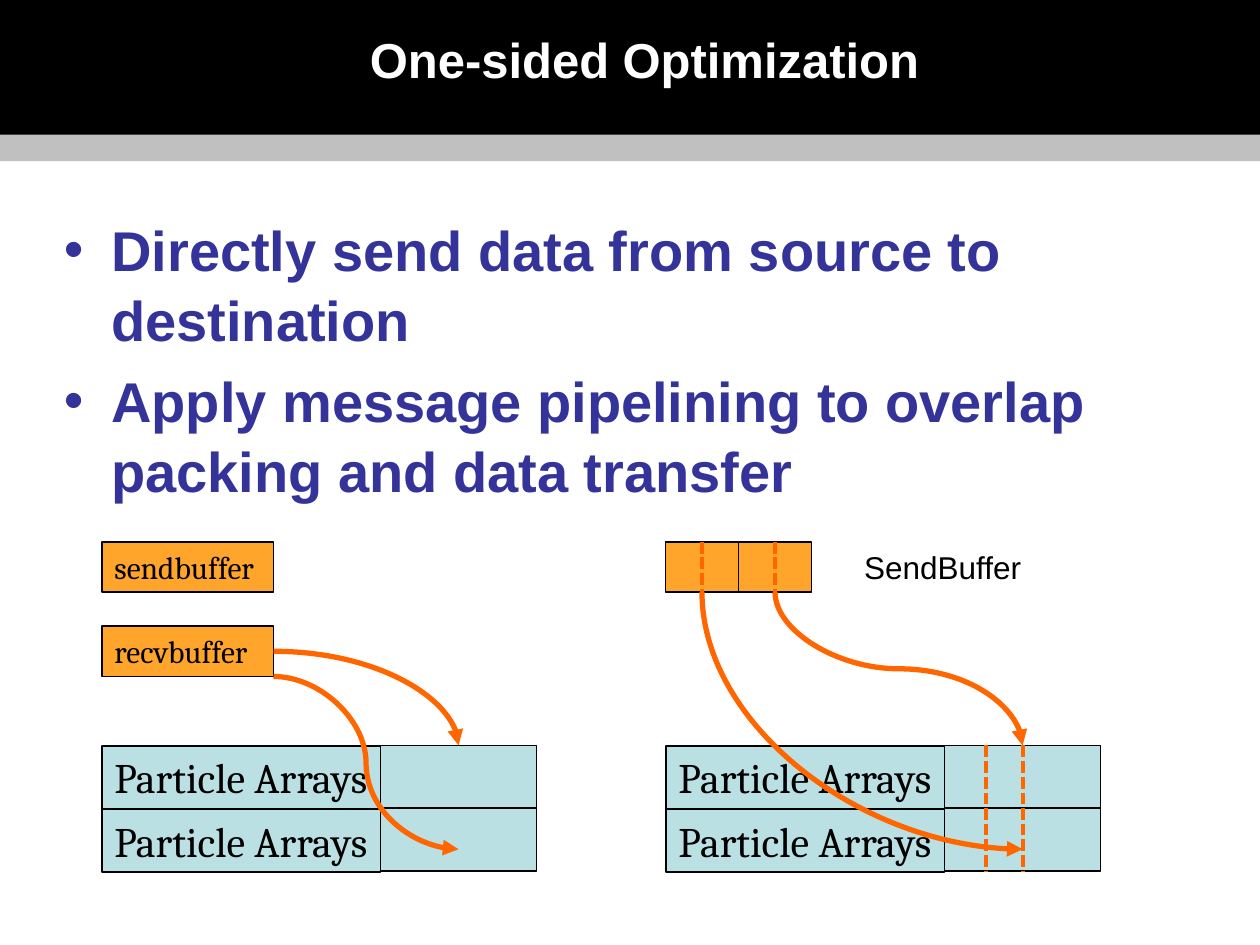
"""Build the One-sided Optimization slide with its buffer and particle array diagrams."""
from lxml import etree
from pptx import Presentation
from pptx.dml.color import RGBColor
from pptx.enum.dml import MSO_LINE
from pptx.enum.shapes import MSO_CONNECTOR, MSO_SHAPE
from pptx.enum.text import MSO_ANCHOR, MSO_AUTO_SIZE, PP_ALIGN
from pptx.oxml.ns import qn
from pptx.util import Pt

RECTANGLE = MSO_SHAPE.RECTANGLE
STRAIGHT, CURVE = MSO_CONNECTOR.STRAIGHT, MSO_CONNECTOR.CURVE
DASH = MSO_LINE.SQUARE_DOT
TOP, MIDDLE = MSO_ANCHOR.TOP, MSO_ANCHOR.MIDDLE
LEFT, CENTER = PP_ALIGN.LEFT, PP_ALIGN.CENTER
FIT_SHAPE, NO_FIT = MSO_AUTO_SIZE.SHAPE_TO_FIT_TEXT, MSO_AUTO_SIZE.NONE

BLACK = RGBColor(0x00, 0x00, 0x00)
WHITE = RGBColor(0xFF, 0xFF, 0xFF)
SILVER = RGBColor(0xC0, 0xC0, 0xC0)
INDIGO = RGBColor(0x33, 0x33, 0x99)
AMBER = RGBColor(0xFF, 0xA5, 0x2C)
PALE_TEAL = RGBColor(0xBB, 0xE0, 0xE3)
ORANGE = RGBColor(0xFF, 0x66, 0x00)

TITLE_FONT = {"name": "Arial", "size": Pt(28), "bold": True}
BULLET_FONT = {"name": "Arial", "size": Pt(32), "bold": True}
BUFFER_FONT = {"name": "Cambria", "size": Pt(18)}
ARRAY_FONT = {"name": "Cambria", "size": Pt(24)}
CAPTION_FONT = {"name": "Arial", "size": Pt(18)}
FITTED = {"auto_size": FIT_SHAPE, "vertical_anchor": TOP}
BULLET_FORMAT = {"space_before": Pt(6.4), "line_spacing": 1.04, "alignment": LEFT}

BULLETS = (
    "Directly send data from source to destination",
    "Apply message pipelining to overlap packing and data transfer",
)
SEND_TOP, RECV_TOP = 309.6, 357.8
BUFFER_WIDTH, BUFFER_HEIGHT, CHUNK_WIDTH = 98, 28.8, 41.8
ARRAY_WIDTH, CELL_WIDTH, ROW_HEIGHT = 159.1, 89.3, 36
ARRAY_TOP, CELL_TOP = 426.2, 426
BEFORE_LEFT, AFTER_LEFT = 58.3, 380.6


def apply_format(target, values):
    """Set each named attribute on the target."""
    for name, value in values.items():
        setattr(target, name, value)


def write_text(paragraph, text, font, color=BLACK):
    """Add one formatted run to a paragraph."""
    run = paragraph.add_run()
    run.text = text
    apply_format(run.font, font)
    run.font.color.rgb = color


def add_box(slide, bounds, fill, text="", font=None, wrap=True, outlined=True):
    """Add a flat rectangle with an optional left-aligned label."""
    box = slide.shapes.add_shape(RECTANGLE, *map(Pt, bounds))
    box.shadow.inherit = False
    box.fill.solid()
    box.fill.fore_color.rgb = fill
    if outlined:
        box.line.color.rgb = BLACK
        box.line.width = Pt(1)
    else:
        box.line.fill.background()
    if text:
        apply_format(box.text_frame, {**FITTED, "word_wrap": wrap})
        paragraph = box.text_frame.paragraphs[0]
        paragraph.alignment = LEFT
        write_text(paragraph, text, font)
    return box


def add_line(slide, kind, start, end, width):
    """Add an orange connector without a shadow."""
    line = slide.shapes.add_connector(kind, *map(Pt, (*start, *end)))
    line.line.color.rgb = ORANGE
    line.line.width = Pt(width)
    etree.SubElement(line.element.spPr, qn("a:effectLst"))
    return line


def add_curve(slide, start, end, preset, downward=False):
    """Add a curved arrow that leaves sideways, or downward when asked."""
    (x1, y1), (x2, y2) = start, end
    if downward:
        middle_x, middle_y = (x1 + x2) / 2, (y1 + y2) / 2
        half_width, half_height = (y2 - y1) / 2, (x2 - x1) / 2
        start = middle_x - half_width, middle_y - half_height
        end = middle_x + half_width, middle_y + half_height
    curve = add_line(slide, CURVE, start, end, 3)
    properties = curve.element.spPr
    properties.find(qn("a:prstGeom")).set("prst", preset)
    if downward:
        frame = properties.find(qn("a:xfrm"))
        frame.set("rot", "16200000")
        frame.set("flipH", "1")
    outline = properties.find(qn("a:ln"))
    etree.SubElement(outline, qn("a:tailEnd"), type="triangle")


def add_dash(slide, x, top, height, box=None):
    """Add a vertical dashed divider, joined to a box it halves."""
    divider = add_line(slide, STRAIGHT, (x, top), (x, top + height), 2.25)
    divider.line.dash_style = DASH
    if box is not None:
        divider.begin_connect(box, 0)
        divider.end_connect(box, 2)


def add_header(slide):
    """Add the title on its black and grey bands."""
    add_box(slide, (0, 0, 720, 84.2), BLACK, outlined=False)
    add_box(slide, (0, 77, 720, 15.1), SILVER, outlined=False)
    title = slide.shapes.title
    bounds = dict(zip(("left", "top", "width", "height"),
                      map(Pt, (133.2, 0, 470.2, 67.7))))
    apply_format(title, bounds)
    apply_format(title.text_frame, {"vertical_anchor": MIDDLE, "auto_size": NO_FIT})
    paragraph = title.text_frame.paragraphs[0]
    paragraph.alignment = CENTER
    write_text(paragraph, "One-sided Optimization", TITLE_FONT, WHITE)
    slide.shapes.element.append(title.element)


def add_bullets(slide):
    """Add the two bulleted statements."""
    body = slide.shapes.add_textbox(*map(Pt, (29.5, 118, 659.5, 196.5))).text_frame
    body.word_wrap = True
    for index, statement in enumerate(BULLETS):
        paragraph = body.add_paragraph() if index else body.paragraphs[0]
        apply_format(paragraph, BULLET_FORMAT)
        write_text(paragraph, statement, BULLET_FONT, INDIGO)
        properties = paragraph._p.get_or_add_pPr()
        properties.set("marL", str(Pt(27)))
        properties.set("indent", str(-Pt(27)))
        etree.SubElement(properties, qn("a:buFont"), typeface="Arial")
        etree.SubElement(properties, qn("a:buChar"), char="•")


def add_arrays(slide, left):
    """Add two labelled particle arrays and return their end cells."""
    cells = []
    for row in range(2):
        add_box(slide, (left, ARRAY_TOP + row * 36.2, ARRAY_WIDTH, ROW_HEIGHT),
                PALE_TEAL, "Particle Arrays", ARRAY_FONT, wrap=False)
        cells.append(add_box(
            slide, (left + ARRAY_WIDTH, CELL_TOP + row * 35.7, CELL_WIDTH, ROW_HEIGHT),
            PALE_TEAL))
    return cells


def add_buffered_transfer(slide):
    """Draw the transfer through separate send and receive buffers."""
    for label, top in (("sendbuffer", SEND_TOP), ("recvbuffer", RECV_TOP)):
        add_box(slide, (BEFORE_LEFT, top, BUFFER_WIDTH, BUFFER_HEIGHT),
                AMBER, label, BUFFER_FONT)
    add_arrays(slide, BEFORE_LEFT)
    right = BEFORE_LEFT + BUFFER_WIDTH
    target = BEFORE_LEFT + ARRAY_WIDTH + CELL_WIDTH / 2
    add_curve(slide, (right, RECV_TOP + BUFFER_HEIGHT / 2), (target, CELL_TOP),
              "curvedConnector2")
    add_curve(slide, (right, RECV_TOP + BUFFER_HEIGHT), (target, 485.3),
              "curvedConnector3")


def add_direct_transfer(slide):
    """Draw the pipelined transfer straight into the arrays."""
    cells = add_arrays(slide, AFTER_LEFT)
    target = AFTER_LEFT + ARRAY_WIDTH + CELL_WIDTH / 2
    routes = ((485.3, "curvedConnector2"), (CELL_TOP, "curvedConnector3"))
    for index, (target_y, preset) in enumerate(routes):
        left = 380.2 + index * CHUNK_WIDTH
        middle = left + CHUNK_WIDTH / 2
        chunk = add_box(slide, (left, SEND_TOP, CHUNK_WIDTH, BUFFER_HEIGHT), AMBER)
        add_curve(slide, (middle, SEND_TOP + BUFFER_HEIGHT), (target, target_y),
                  preset, downward=True)
        add_dash(slide, middle, SEND_TOP, BUFFER_HEIGHT, chunk)
    for row, cell in enumerate(cells):
        top = CELL_TOP + row * 35.7
        add_dash(slide, 563.2, top, ROW_HEIGHT)
        add_dash(slide, target, top, ROW_HEIGHT, cell)
    caption = slide.shapes.add_textbox(*map(Pt, (486.7, SEND_TOP, 105.1, BUFFER_HEIGHT)))
    apply_format(caption.text_frame, {**FITTED, "word_wrap": False})
    write_text(caption.text_frame.paragraphs[0], "SendBuffer", CAPTION_FONT)


def main():
    """Build and save the presentation."""
    deck = Presentation()
    apply_format(deck, {"slide_width": Pt(720), "slide_height": Pt(540)})
    slide = deck.slides.add_slide(deck.slide_layouts[5])
    add_header(slide)
    add_bullets(slide)
    add_buffered_transfer(slide)
    add_direct_transfer(slide)
    deck.save("out.pptx")


if __name__ == "__main__":
    main()
